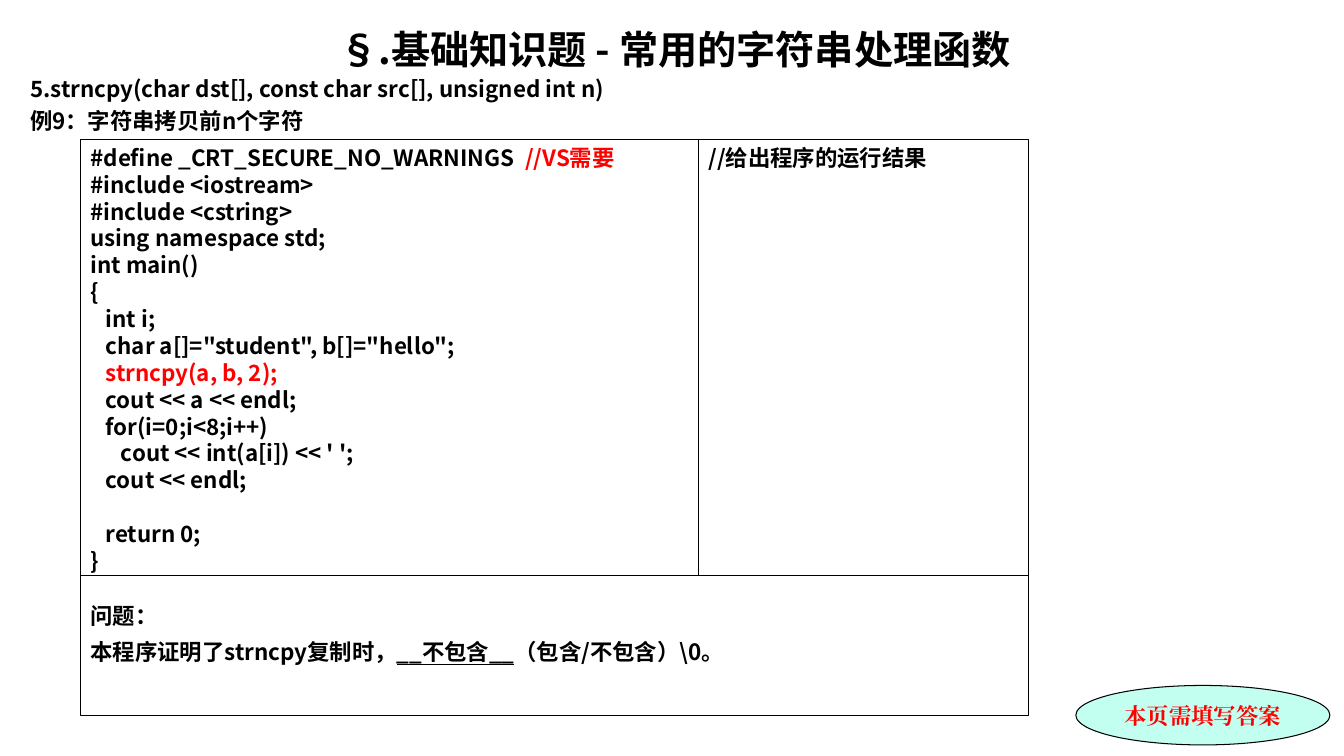
"""Build a quiz slide about strncpy with a code panel, a result panel and a question panel."""
from pptx import Presentation
from pptx import util as u
from pptx.dml import color
from pptx.enum import shapes, text
from pptx.oxml import parse_xml
from pptx.oxml.ns import nsdecls

WIDTH, HEIGHT = 13.33, 7.5
COLOURS = {"ink": "000000", "accent": "FF0000", "mint": "C2FFF0", "page": "FFFFFF"}
SANS, SERIF = "Noto Sans CJK SC", "Times New Roman"
COLUMNS = (0.8, 6.93, 10.2)
ROWS = (1.38, 5.71, 7.1)
LEADING = 1.2

TITLE = "§.基础知识题 - 常用的字符串处理函数"
HEADINGS = (
    "5.strncpy(char dst[], const char src[], unsigned int n)",
    "例9：字符串拷贝前n个字符",
)
CODE = """#define _CRT_SECURE_NO_WARNINGS
#include <iostream>
#include <cstring>
using namespace std;
int main()
{
   int i;
   char a[]="student", b[]="hello";
   strncpy(a, b, 2);
   cout << a << endl;
   for(i=0;i<8;i++)
      cout << int(a[i]) << ' ';
   cout << endl;

   return 0;
}"""
DEFINE_NOTE = "  //VS需要"
RESULT = "//给出程序的运行结果"
QUESTION = (
    (("问题：", {}),),
    (
        ("本程序证明了strncpy复制时，", {}),
        ("__不包含__", {"underline": True}),
        ("（包含/不包含）\\0。", {}),
    ),
)
BADGE = "本页需填写答案"


def rgb(name):
    """Return the named colour."""
    return color.RGBColor.from_string(COLOURS[name])


def apply(target, values):
    """Set each attribute in values on target."""
    for name, value in values.items():
        setattr(target, name, value)


def add_span(para, words, size, face=SANS, ink="ink", **extra):
    """Add one formatted run to a paragraph."""
    span = para.add_run()
    span.text = words
    apply(span.font, {"size": u.Pt(size), "name": face, "bold": True, **extra})
    span.font.color.rgb = rgb(ink)
    east = parse_xml(f'<a:ea {nsdecls("a")} typeface="{face}"/>')
    span.font._element.find("{*}latin").addnext(east)


def write(box, lines, size=16, gap=0, align=text.PP_ALIGN.LEFT, top=0.05,
          anchor=text.MSO_ANCHOR.TOP, face=SANS):
    """Fill a box with lines, each a sequence of (words, format) spans."""
    frame = box.text_frame
    apply(frame, {
        "word_wrap": True, "auto_size": text.MSO_AUTO_SIZE.NONE,
        "vertical_anchor": anchor, "margin_top": u.Inches(top),
        "margin_bottom": u.Inches(0.05), "margin_left": u.Inches(0.1),
        "margin_right": u.Inches(0.1),
    })
    for index, spans in enumerate(lines):
        para = frame.add_paragraph() if index else frame.paragraphs[0]
        apply(para, {
            "alignment": align, "line_spacing": u.Pt(size * LEADING),
            "space_before": u.Pt(gap if index else 0), "space_after": u.Pt(0),
        })
        para.font.size = u.Pt(size)
        for words, values in spans:
            add_span(para, words, size, **{"face": face, **values})


def add_outline(page, kind, left, top, right, bottom, fill=None):
    """Add a thin-lined shape between two corners."""
    box = page.shapes.add_shape(
        kind, *(u.Inches(n) for n in (left, top, right - left, bottom - top)))
    box.shadow.inherit = False
    if fill:
        box.fill.solid()
        box.fill.fore_color.rgb = rgb(fill)
    else:
        box.fill.background()
    box.line.color.rgb = rgb("ink")
    box.line.width = u.Pt(0.75)
    return box


def add_panel(page, column, row, lines, span=1, **layout):
    """Add a text panel that covers cells of the grid."""
    box = add_outline(page, shapes.MSO_SHAPE.RECTANGLE, COLUMNS[column], ROWS[row],
                      COLUMNS[column + span], ROWS[row + 1])
    write(box, lines, **layout)


def add_title(page):
    """Place and format the title placeholder."""
    box = page.shapes.title
    apply(box, {"left": u.Inches(0.2), "top": u.Inches(0.2),
                "width": u.Inches(12.99), "height": u.Inches(0.55)})
    write(box, [[(TITLE, {})]], size=28, align=text.PP_ALIGN.CENTER)


def add_headings(page):
    """Add the two heading lines under the title."""
    box = page.shapes.add_textbox(*(u.Inches(n) for n in (0.2, 0.7, 12.99, 0.68)))
    write(box, [[(line, {})] for line in HEADINGS], gap=3.2)


def code_lines():
    """Return the program as lines of spans with the key parts in red."""
    red = {"ink": "accent"}
    lines = [[(line, red if "strncpy" in line else {})] if line else []
             for line in CODE.split("\n")]
    lines[0].append((DEFINE_NOTE, red))
    return lines


def add_badge(page):
    """Add the oval reminder in the lower right corner."""
    box = add_outline(page, shapes.MSO_SHAPE.OVAL, 10.67, 6.8, 13.19, 7.39, fill="mint")
    write(box, [[(BADGE, {"ink": "accent"})]], face=SERIF,
          align=text.PP_ALIGN.CENTER, anchor=text.MSO_ANCHOR.MIDDLE)


def main():
    """Build and save the deck."""
    deck = Presentation()
    apply(deck, {"slide_width": u.Inches(WIDTH), "slide_height": u.Inches(HEIGHT)})
    page = deck.slides.add_slide(deck.slide_layouts.get_by_name("Title Only"))
    page.background.fill.solid()
    page.background.fill.fore_color.rgb = rgb("page")
    add_title(page)
    add_headings(page)
    add_badge(page)
    add_panel(page, 0, 0, code_lines())
    add_panel(page, 0, 1, QUESTION, span=2, gap=7, top=0.26)
    add_panel(page, 1, 0, [[(RESULT, {})]])
    deck.save("out.pptx")


if __name__ == "__main__":
    main()
